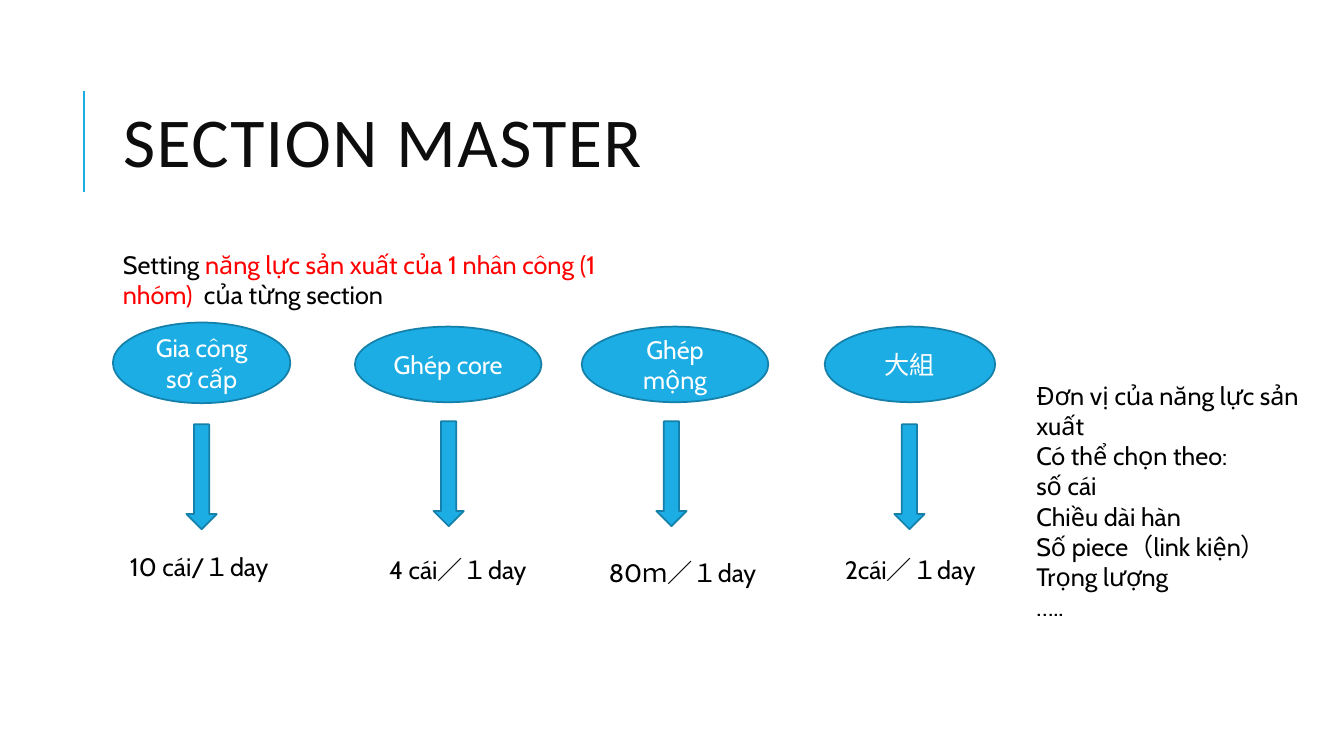
from lxml import etree
from pptx import Presentation
from pptx.dml.color import RGBColor
from pptx.enum.shapes import MSO_CONNECTOR, MSO_SHAPE
from pptx.enum.text import MSO_ANCHOR, MSO_AUTO_SIZE, PP_ALIGN
from pptx.oxml.ns import qn
from pptx.util import Inches, Pt

BLUE = RGBColor(0x1C, 0xAD, 0xE4)
DARK_BLUE = RGBColor(0x15, 0x80, 0xA9)
TITLE_COLOR = RGBColor(0x0D, 0x0D, 0x0D)
BLACK = RGBColor(0x00, 0x00, 0x00)
WHITE = RGBColor(0xFF, 0xFF, 0xFF)
RED = RGBColor(0xFF, 0x00, 0x00)

# name, ellipse box, arrow left and top, capacity, capacity box
SECTIONS = [
    ("Gia công sơ cấp", (1.12, 3.2, 1.76, 0.8), (1.85, 4.21),
     "10 cái/１day", (1.19, 5.42, 2.18, 1.01)),
    ("Ghép core", (3.52, 3.24, 1.85, 0.75), (4.3, 4.18),
     "4 cái／１day", (3.76, 5.45, 2.18, 0.4)),
    ("Ghép mộng", (5.77, 3.24, 1.85, 0.75), (6.51, 4.18),
     "80ｍ／１day", (5.94, 5.48, 2.18, 0.4)),
    ("大組", (8.18, 3.24, 1.69, 0.75), (8.87, 4.21),
     "2cái／１day", (8.28, 5.45, 2.18, 0.4)),
]
ARROW_SIZE = (0.3, 1.04)

SETTING = [[
    ("Setting ", BLACK),
    ("năng lực sản xuất của 1 nhân công (1 nhóm)  ", RED),
    ("của từng section", BLACK),
]]
UNITS = [
    "Đơn vị của năng lực sản xuất",
    "Có thể chọn theo:",
    "số cái",
    "Chiều dài hàn",
    "Số piece（link kiện）",
    "Trọng lượng",
    "…..",
]


def inches(box):
    return [Inches(length) for length in box]


def format_font(font, color, size=18, name="Cabin"):
    font.name = name
    font.size = Pt(size)
    font.color.rgb = color


def add_title(slide, text):
    title = slide.shapes.title
    title.left, title.top, title.width, title.height = inches((1.12, 0.64, 10.63, 1.64))
    frame = title.text_frame
    frame.text = text
    frame.auto_size = MSO_AUTO_SIZE.NONE
    frame.vertical_anchor = MSO_ANCHOR.MIDDLE
    paragraph = frame.paragraphs[0]
    paragraph.alignment = PP_ALIGN.LEFT
    paragraph.line_spacing = 0.8
    run = paragraph.runs[0]
    format_font(run.font, TITLE_COLOR, 50, "Calibri")
    run.font._element.set("spc", "100")


def add_title_bar(slide):
    bar = slide.shapes.add_connector(
        MSO_CONNECTOR.STRAIGHT, *inches((0.83, 1.9, 0.83, 0.9)))
    bar.line.color.rgb = BLUE
    bar.line.width = Pt(1.5)
    etree.SubElement(bar._element.spPr, qn("a:effectLst"))


def add_blue_shape(slide, kind, box, text=""):
    shape = slide.shapes.add_shape(kind, *inches(box))
    shape.shadow.inherit = False
    shape.fill.solid()
    shape.fill.fore_color.rgb = BLUE
    shape.line.color.rgb = DARK_BLUE
    shape.line.width = Pt(1.25)
    if text:
        frame = shape.text_frame
        frame.text = text
        frame.vertical_anchor = MSO_ANCHOR.MIDDLE
        paragraph = frame.paragraphs[0]
        paragraph.alignment = PP_ALIGN.CENTER
        format_font(paragraph.runs[0].font, WHITE)


def add_text(slide, box, paragraphs):
    """Add a text box; each paragraph is a list of (text, color) runs."""
    frame = slide.shapes.add_textbox(*inches(box)).text_frame
    frame.word_wrap = True
    frame.auto_size = MSO_AUTO_SIZE.SHAPE_TO_FIT_TEXT
    for index, runs in enumerate(paragraphs):
        paragraph = frame.add_paragraph() if index else frame.paragraphs[0]
        for text, color in runs:
            run = paragraph.add_run()
            run.text = text
            format_font(run.font, color)


def main():
    presentation = Presentation()
    presentation.slide_width = Inches(13.33)
    presentation.slide_height = Inches(7.5)
    slide = presentation.slides.add_slide(presentation.slide_layouts[5])

    add_title_bar(slide)
    add_title(slide, "SECTION MASTER")
    for name, ellipse_box, arrow_corner, capacity, capacity_box in SECTIONS:
        add_blue_shape(slide, MSO_SHAPE.OVAL, ellipse_box, name)
        add_blue_shape(slide, MSO_SHAPE.DOWN_ARROW, arrow_corner + ARROW_SIZE)
        add_text(slide, capacity_box, [[(capacity, BLACK)]])
    add_text(slide, (1.12, 2.42, 5.55, 0.71), SETTING)
    add_text(slide, (10.18, 3.72, 3.16, 2.22), [[(unit, BLACK)] for unit in UNITS])

    presentation.save("out.pptx")


if __name__ == "__main__":
    main()
